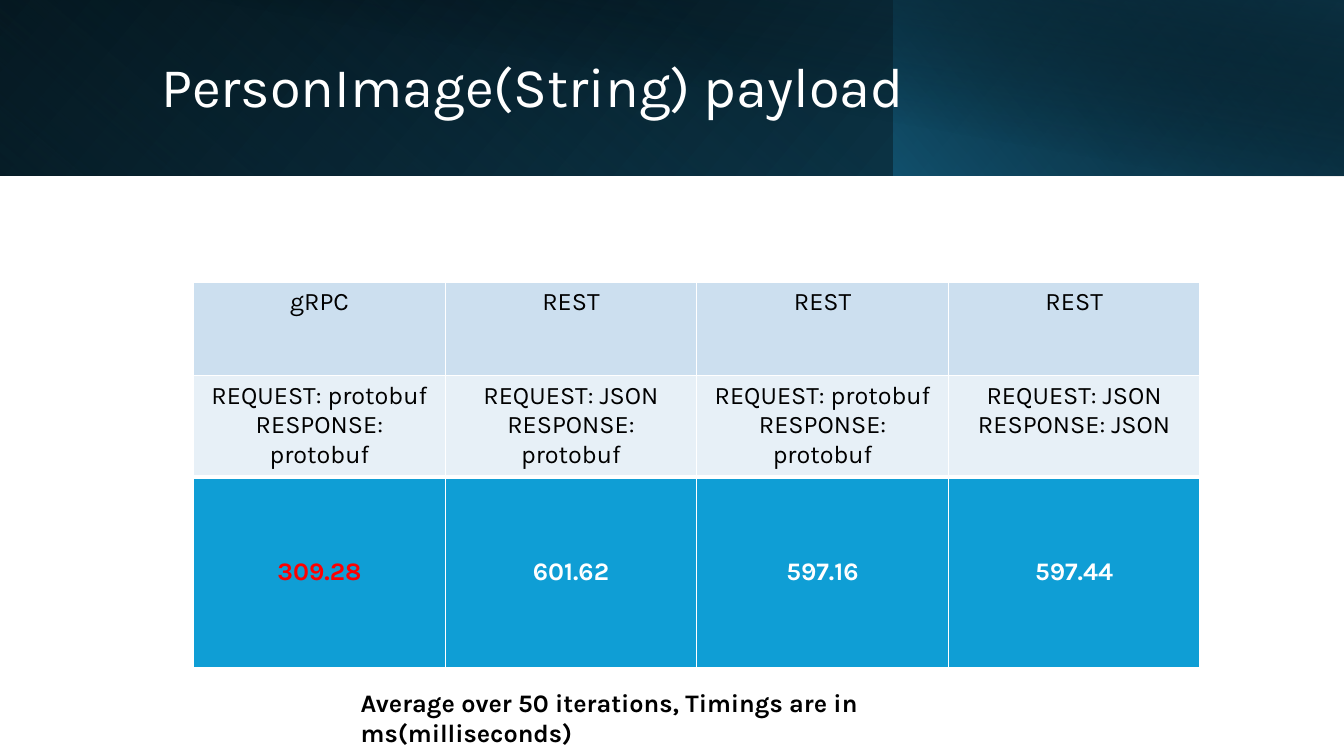
from dataclasses import dataclass

import lxml.etree
import pptx
import pptx.dml.color
import pptx.enum.shapes
import pptx.enum.text
import pptx.oxml
import pptx.oxml.ns
import pptx.util

Cm = pptx.util.Cm
Pt = pptx.util.Pt
qn = pptx.oxml.ns.qn
ALIGN = pptx.enum.text.PP_ALIGN
ANCHOR = pptx.enum.text.MSO_ANCHOR


@dataclass(frozen=True)
class Theme:
    font: str = "Karla"
    title_size: int = 40
    body_size: int = 18
    white: str = "FFFFFF"
    black: str = "000000"
    best: str = "FF0000"
    teal: str = "156082"
    navy: str = "0B3041"
    deep_teal: str = "104862"
    header_fill: str = "CCDFEF"
    format_fill: str = "E7F0F7"
    timing_fill: str = "0F9ED5"


@dataclass(frozen=True)
class Area:
    left: float
    top: float
    width: float
    height: float

    def lengths(self) -> tuple:
        return Cm(self.left), Cm(self.top), Cm(self.width), Cm(self.height)


@dataclass(frozen=True)
class Stop:
    position: int
    color: str
    opacity: int = 100


@dataclass(frozen=True)
class Band:
    area: Area
    angle: int
    stops: tuple[Stop, Stop]
    flipped: bool = True
    rotation: int = 0


@dataclass(frozen=True)
class Measurement:
    protocol: str
    request: str
    response: str
    timing: str
    color: str


THEME = Theme()

BANDS = (
    Band(Area(0, 0, 33.87, 4.42), 140,
         (Stop(0, THEME.black), Stop(100, THEME.deep_teal))),
    Band(Area(0, 0, 22.56, 4.42), 230,
         (Stop(20, THEME.teal, 0), Stop(100, THEME.navy, 55)), rotation=180),
    Band(Area(22.53, 0, 11.34, 4.42), 220,
         (Stop(0, THEME.teal, 66), Stop(100, THEME.black, 30))),
    Band(Area(1.27, 0, 32.6, 4.45), 280,
         (Stop(50, THEME.black, 0), Stop(99, THEME.navy, 52)), flipped=False),
)

MEASUREMENTS = (
    Measurement("gRPC", "protobuf", "protobuf", "309.28", THEME.best),
    Measurement("REST", "JSON", "protobuf", "601.62", THEME.white),
    Measurement("REST", "protobuf", "protobuf", "597.16", THEME.white),
    Measurement("REST", "JSON", "JSON", "597.44", THEME.white),
)

TABLE_AREA = Area(4.88, 7.11, 25.36, 9.24)
ROW_HEIGHTS = (2.36, 2.08, 4.8)
ROW_FILLS = (THEME.header_fill, THEME.format_fill, THEME.timing_fill)
TIMING_ROW = 2


def rgb(color: str) -> pptx.dml.color.RGBColor:
    return pptx.dml.color.RGBColor.from_string(color)


def style_text(frame, size: int, color: str, bold: bool = False) -> None:
    for para in frame.paragraphs:
        for span in para.runs:
            span.font.name = THEME.font
            span.font.size = Pt(size)
            span.font.bold = bold
            span.font.color.rgb = rgb(color)


def add_band(slide, band: Band) -> None:
    """Draw a rectangle with a linear gradient whose stops may be transparent."""
    box = slide.shapes.add_shape(
        pptx.enum.shapes.MSO_SHAPE.RECTANGLE, *band.area.lengths())
    box.shadow.inherit = False
    box.line.fill.background()
    box.rotation = band.rotation
    properties = box._element.spPr
    if band.flipped:
        properties.find(qn("a:xfrm")).set("flipH", "1")
    stops = "".join(
        f'<a:gs pos="{stop.position * 1000}"><a:srgbClr val="{stop.color}">'
        f'<a:alpha val="{stop.opacity * 1000}"/></a:srgbClr></a:gs>'
        for stop in band.stops)
    gradient = pptx.oxml.parse_xml(
        f'<a:gradFill {pptx.oxml.ns.nsdecls("a")} rotWithShape="1">'
        f'<a:gsLst>{stops}</a:gsLst>'
        f'<a:lin ang="{band.angle * 60000}" scaled="0"/></a:gradFill>')
    properties.find(qn("a:prstGeom")).addnext(gradient)


def add_text(slide, area: Area, text: str, size: int, color: str,
             bold: bool = False):
    frame = slide.shapes.add_textbox(*area.lengths()).text_frame
    frame.word_wrap = True
    frame.text = text
    style_text(frame, size, color, bold)
    return frame


def set_borders(cell, top: int, bottom: int) -> None:
    """Give a cell white borders; call before the fill is set."""
    properties = cell._tc.get_or_add_tcPr()
    for side, width in (("L", 1), ("R", 1), ("T", top), ("B", bottom)):
        line = lxml.etree.SubElement(
            properties, qn(f"a:ln{side}"), w=str(Pt(width)))
        fill = lxml.etree.SubElement(line, qn("a:solidFill"))
        lxml.etree.SubElement(fill, qn("a:srgbClr"), val=THEME.white)


def fill_cell(cell, row: int, text: str, color: str) -> None:
    is_timing = row == TIMING_ROW
    set_borders(cell, top=3 if is_timing else 1,
                bottom=3 if row == TIMING_ROW - 1 else 1)
    cell.fill.solid()
    cell.fill.fore_color.rgb = rgb(ROW_FILLS[row])
    cell.text_frame.text = text
    if is_timing:
        cell.vertical_anchor = ANCHOR.MIDDLE
        cell.margin_left = cell.margin_right = cell.margin_top = Cm(0.03)
        cell.margin_bottom = 0
    for para in cell.text_frame.paragraphs:
        para.alignment = ALIGN.CENTER
    style_text(cell.text_frame, THEME.body_size, color, is_timing)


def add_timing_table(slide) -> None:
    table = slide.shapes.add_table(
        len(ROW_HEIGHTS), len(MEASUREMENTS), *TABLE_AREA.lengths()).table
    table.first_row = False
    table.horz_banding = False
    for row, height in zip(table.rows, ROW_HEIGHTS):
        row.height = Cm(height)
    for index, item in enumerate(MEASUREMENTS):
        table.columns[index].width = Cm(TABLE_AREA.width / len(MEASUREMENTS))
        formats = f"REQUEST: {item.request}\nRESPONSE: {item.response}"
        entries = ((item.protocol, THEME.black), (formats, THEME.black),
                   (item.timing, item.color))
        for row, (text, color) in enumerate(entries):
            fill_cell(table.cell(row, index), row, text, color)


def main() -> None:
    deck = pptx.Presentation()
    deck.slide_width, deck.slide_height = Cm(33.87), Cm(19.05)
    page = deck.slides.add_slide(deck.slide_layouts[6])
    for band in BANDS:
        add_band(page, band)
    title = add_text(page, Area(3.81, 0.81, 27.48, 2.87),
                     "PersonImage(String) payload",
                     THEME.title_size, THEME.white)
    title.vertical_anchor = ANCHOR.MIDDLE
    title.paragraphs[0].line_spacing = 0.9
    add_timing_table(page)
    footnote = add_text(
        page, Area(8.84, 17.2, 17.45, 1.02),
        "Average over 50 iterations, Timings are in ms(milliseconds)",
        THEME.body_size, THEME.black, bold=True)
    footnote.auto_size = pptx.enum.text.MSO_AUTO_SIZE.SHAPE_TO_FIT_TEXT
    deck.save("out.pptx")


if __name__ == "__main__":
    main()
